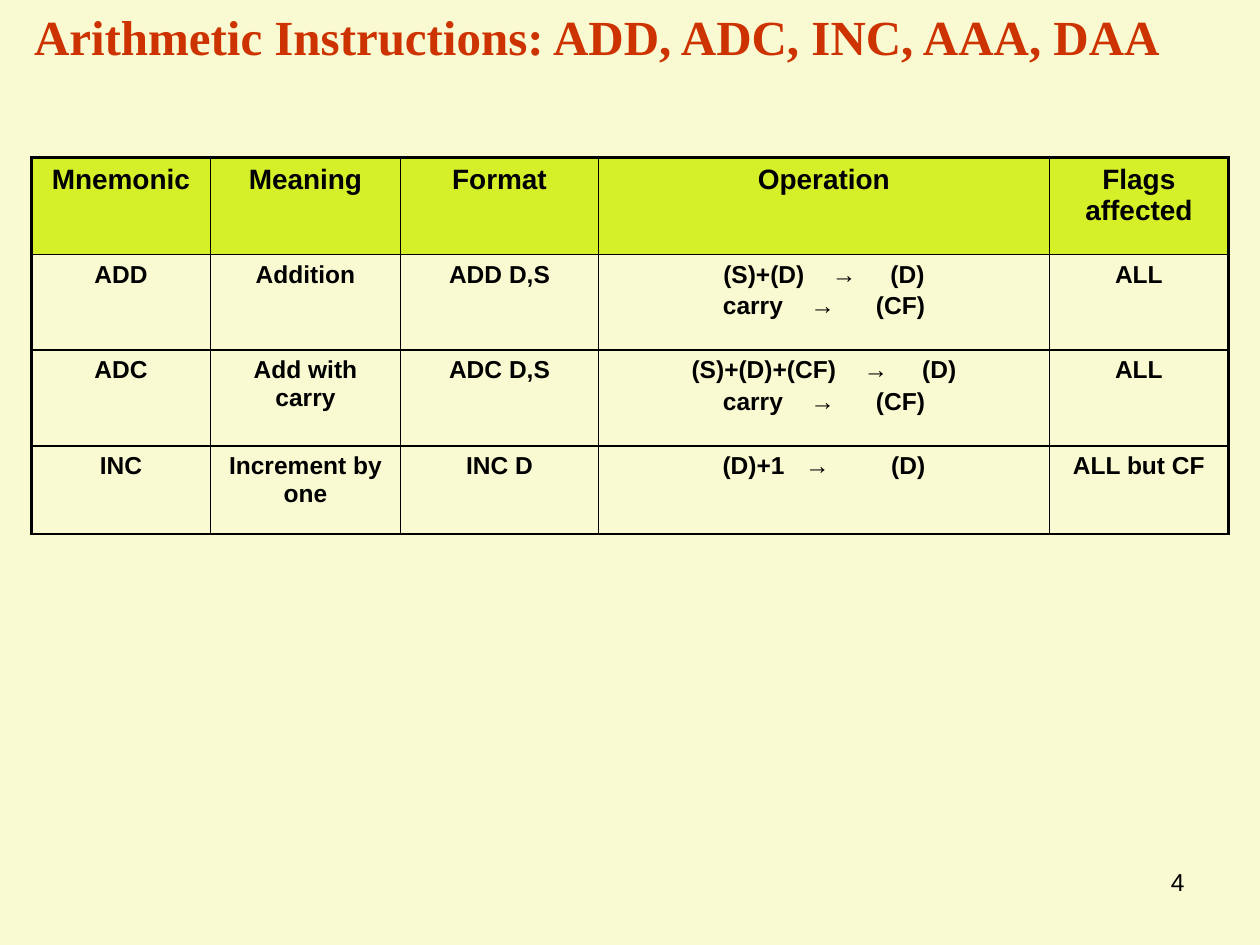
import pptx
import pptx.dml.color
import pptx.enum.text
import pptx.oxml.ns
import pptx.util
from lxml import etree

Inches, Pt = pptx.util.Inches, pptx.util.Pt
RGBColor = pptx.dml.color.RGBColor
PP_ALIGN = pptx.enum.text.PP_ALIGN
MSO_ANCHOR = pptx.enum.text.MSO_ANCHOR
qn = pptx.oxml.ns.qn

CREAM = RGBColor(0xFA, 0xFA, 0xD2)
LIME = RGBColor(0xD5, 0xEF, 0x29)
RUST = RGBColor(0xCC, 0x33, 0x00)
BLACK = RGBColor(0, 0, 0)

THIN, THICK = 1, 2.25
SPACE_WIDTH = 3.9  # points, one space at 14 pt

COLUMNS = [1.42, 1.51, 1.57, 3.58, 1.42]
ROW_HEIGHTS = [0.77, 0.76, 0.76, 0.7]
# An operation is a list of lines: source, spaces before arrow, spaces after, target.
CARRY = ("carry", 4, 6, "(CF)")
ROWS = [
    ["Mnemonic", "Meaning", "Format", "Operation", "Flags affected"],
    ["ADD", "Addition", "ADD D,S", [("(S)+(D)", 4, 5, "(D)"), CARRY], "ALL"],
    ["ADC", "Add with carry", "ADC D,S",
     [("(S)+(D)+(CF)", 4, 5, "(D)"), CARRY], "ALL"],
    ["INC", "Increment by one", "INC D", [("(D)+1", 3, 9, "(D)")], "ALL but CF"],
]


class SlideBuilder:
    def __init__(self, slide):
        self.slide = slide
        fill = slide.background.fill
        fill.solid()
        fill.fore_color.rgb = CREAM

    def run(self, p, text, size, color=BLACK, bold=True, font="Arial"):
        r = p.add_run()
        r.text = text
        r.font.name, r.font.size, r.font.bold = font, Pt(size), bold
        r.font.color.rgb = color
        return r

    def gap(self, p, spaces, size):
        """Add one space, tracked out to the width of several."""
        r = self.run(p, " ", size)
        r.font._element.set("spc", str(round((spaces - 1) * SPACE_WIDTH * 100)))

    def title(self, text, left, top, width, height):
        sp = self.slide.shapes.title
        sp.left, sp.top = Inches(left), Inches(top)
        sp.width, sp.height = Inches(width), Inches(height)
        tf = sp.text_frame
        tf.auto_size = pptx.enum.text.MSO_AUTO_SIZE.NONE
        tf.vertical_anchor = MSO_ANCHOR.BOTTOM
        tf.margin_top, tf.margin_bottom = 0, Inches(0.48)
        p = tf.paragraphs[0]
        p.alignment = PP_ALIGN.LEFT
        self.run(p, text, 28, RUST, font="Times New Roman")

    def page_number(self, text, left, top, width, height):
        sp = self.slide.shapes.add_textbox(
            Inches(left), Inches(top), Inches(width), Inches(height))
        sp.text_frame.word_wrap = True
        p = sp.text_frame.paragraphs[0]
        p.alignment = PP_ALIGN.RIGHT
        self.run(p, text, 14, bold=False)

    def borders(self, cell, widths):
        tc_pr = cell._tc.get_or_add_tcPr()
        for side, width in widths.items():
            ln = etree.SubElement(tc_pr, qn(f"a:ln{side}"), w=str(Pt(width)))
            fill = etree.SubElement(ln, qn("a:solidFill"))
            etree.SubElement(fill, qn("a:srgbClr"), val=str(BLACK))

    def cell_text(self, cell, content, size):
        lines = content if isinstance(content, list) else [content]
        tf = cell.text_frame
        for i, line in enumerate(lines):
            p = tf.add_paragraph() if i else tf.paragraphs[0]
            p.alignment = PP_ALIGN.CENTER
            if i:
                p.space_before = Pt(2.2)
            if isinstance(line, str):
                self.run(p, line, size)
                continue
            source, before, after, target = line
            self.run(p, source, size)
            self.gap(p, before, size)
            self.run(p, "→", size)
            self.gap(p, after, size)
            self.run(p, target, size)

    def table(self, rows, left, top, columns, heights):
        table = self.slide.shapes.add_table(
            len(rows), len(columns), Inches(left), Inches(top),
            Inches(sum(columns)), Inches(sum(heights))).table
        table.first_row = table.horz_banding = False
        for column, width in zip(table.columns, columns):
            column.width = Inches(width)
        for i, (row, height) in enumerate(zip(rows, heights)):
            table.rows[i].height = Inches(height)
            for j, content in enumerate(row):
                cell = table.cell(i, j)
                self.borders(cell, {
                    "L": THICK if j == 0 else THIN,
                    "R": THICK if j == len(columns) - 1 else THIN,
                    "T": THICK if i == 0 else THIN,
                    "B": THIN,
                })
                if i == 0:
                    cell.fill.solid()
                    cell.fill.fore_color.rgb = LIME
                else:
                    cell.fill.background()
                self.cell_text(cell, content, 14 if i else 16)


def main():
    prs = pptx.Presentation()
    prs.slide_width, prs.slide_height = Inches(10), Inches(7.5)
    s = SlideBuilder(prs.slides.add_slide(prs.slide_layouts[5]))
    s.page_number("4", 7.17, 6.83, 2.33, 0.52)
    s.title("Arithmetic Instructions: ADD, ADC, INC, AAA, DAA", 0.17, 0.5, 9.61, 0.5)
    s.table(ROWS, 0.25, 1.25, COLUMNS, ROW_HEIGHTS)
    prs.save("out.pptx")


if __name__ == "__main__":
    main()
